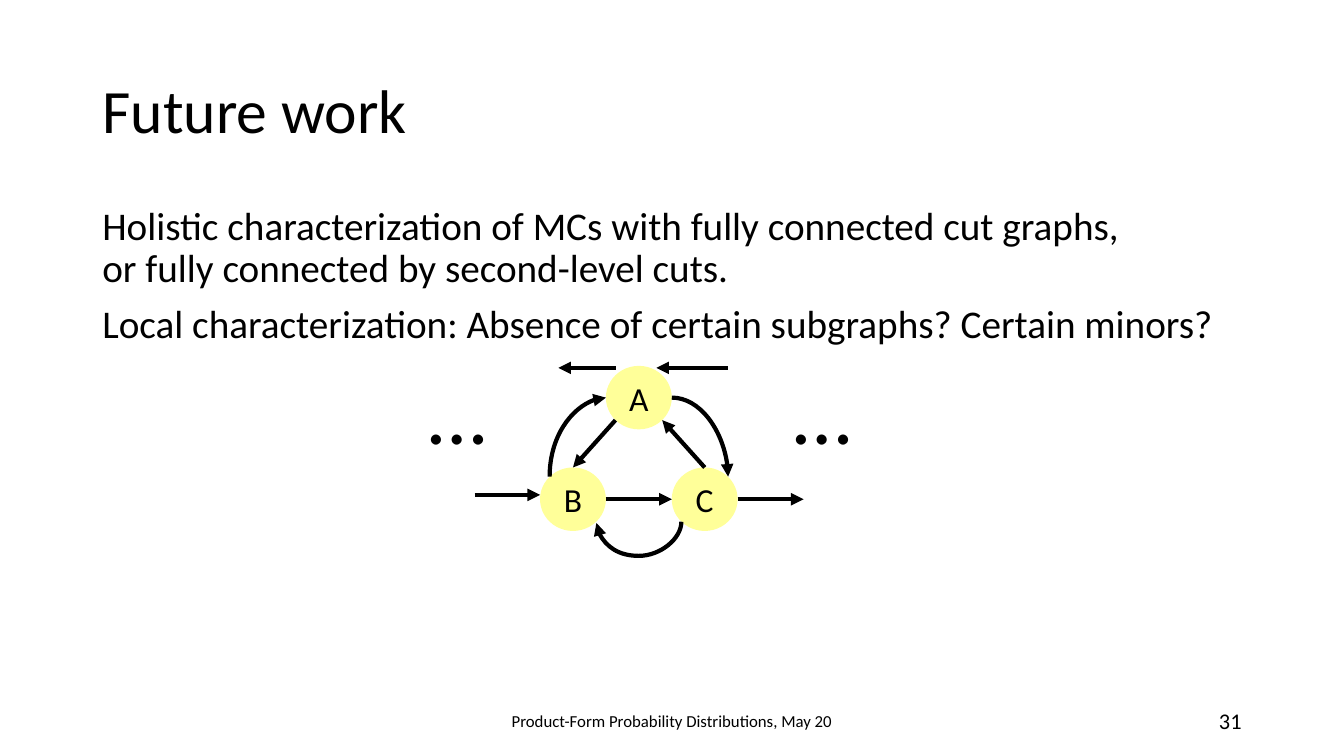
from dataclasses import dataclass

from lxml.etree import SubElement
from pptx import Presentation
from pptx.dml.color import RGBColor
from pptx.enum.shapes import MSO_CONNECTOR, MSO_SHAPE
from pptx.enum.text import MSO_ANCHOR, PP_ALIGN
from pptx.oxml.ns import qn
from pptx.util import Cm, Pt


@dataclass(frozen=True)
class Theme:
    font: str = "Calibri"
    ink: RGBColor = RGBColor(0x00, 0x00, 0x00)
    node_fill: RGBColor = RGBColor(0xFF, 0xFF, 0x99)
    title: int = 44
    body: int = 28
    node: int = 24
    footer: int = 12
    number: int = 16
    ellipsis: int = 60
    line: int = 3


THEME = Theme()
NODE_WIDTH, NODE_HEIGHT = 1.66, 1.6
DIAGONAL = 0.71
NODES = {"A": (16.1, 10.02), "B": (14.44, 12.58), "C": (17.76, 12.58)}


def write(shape, text, size, align=PP_ALIGN.LEFT, anchor=MSO_ANCHOR.MIDDLE):
    frame = shape.text_frame
    frame.text = text
    frame.vertical_anchor = anchor
    for paragraph in frame.paragraphs:
        paragraph.alignment = align
        for run in paragraph.runs:
            run.font.name = THEME.font
            run.font.size = Pt(size)
            run.font.color.rgb = THEME.ink
    return frame


def add_text(slide, box, text, size, **layout):
    shape = slide.shapes.add_textbox(*map(Cm, box))
    frame = write(shape, text, size, **layout)
    frame.word_wrap = True
    return frame


def add_title(slide, text):
    title = slide.shapes.title
    title.left, title.top, title.width, title.height = map(Cm, (2.33, 1.01, 29.21, 3.68))
    frame = write(title, text, THEME.title)
    frame.paragraphs[0].line_spacing = 0.9


def add_body(slide, text):
    frame = add_text(slide, (2.33, 5.07, 29.21, 12.09), text, THEME.body, anchor=MSO_ANCHOR.TOP)
    for paragraph in frame.paragraphs:
        paragraph.line_spacing = 0.9
        paragraph.space_before = Pt(10)


def add_node(slide, name):
    x, y = NODES[name]
    box = (x - NODE_WIDTH / 2, y - NODE_HEIGHT / 2, NODE_WIDTH, NODE_HEIGHT)
    node = slide.shapes.add_shape(MSO_SHAPE.OVAL, *map(Cm, box))
    node.shadow.inherit = False
    node.fill.solid()
    node.fill.fore_color.rgb = THEME.node_fill
    node.line.fill.background()
    frame = write(node, name, THEME.node, align=PP_ALIGN.CENTER)
    frame.word_wrap = False
    frame.margin_left = frame.margin_top = frame.margin_right = frame.margin_bottom = 0


def edge(name, across, down):
    """Point on a node's rim, given as fractions of its half width and height."""
    x, y = NODES[name]
    return x + across * NODE_WIDTH / 2, y + down * NODE_HEIGHT / 2


def add_arrow(slide, start, end, kind=MSO_CONNECTOR.STRAIGHT):
    arrow = slide.shapes.add_connector(kind, *map(Cm, start + end))
    arrow.line.color.rgb = THEME.ink
    arrow.line.width = Pt(THEME.line)
    SubElement(arrow.line._get_or_add_ln(), qn("a:tailEnd"), type="triangle")
    SubElement(arrow._element.spPr, qn("a:effectLst"))
    return arrow


def add_curve(slide, start, end, rotation=0, bulge=None):
    """Curved arrow, turned by quarter turns; a bulge makes it a U-shaped loop."""
    middle_x, middle_y = (start[0] + end[0]) / 2, (start[1] + end[1]) / 2
    width, height = abs(end[0] - start[0]), abs(end[1] - start[1])
    if rotation:
        width, height = height, width
    left, top = middle_x - width / 2, middle_y - height / 2
    curve = add_arrow(slide, (left, top), (left + width, top + height), MSO_CONNECTOR.CURVE)
    properties = curve._element.spPr
    if rotation:
        properties.find(qn("a:xfrm")).set("rot", str(rotation * 60000))
    geometry = properties.find(qn("a:prstGeom"))
    if bulge is None:
        geometry.set("prst", "curvedConnector2")
    else:
        guides = geometry.find(qn("a:avLst"))
        if guides is None:
            guides = SubElement(geometry, qn("a:avLst"))
        share = round(bulge / width * 100000)
        SubElement(guides, qn("a:gd"), name="adj1", fmla=f"val {share}")


def add_chain_diagram(slide):
    for name in NODES:
        add_node(slide, name)

    loop_start = edge("C", -DIAGONAL, DIAGONAL)
    loop_end_x, loop_end_y = edge("B", DIAGONAL, DIAGONAL)
    add_curve(slide, loop_start, (loop_end_x, loop_end_y + 0.03), rotation=90, bulge=0.86)
    add_curve(slide, edge("A", 1, 0), edge("C", DIAGONAL, -DIAGONAL))
    add_curve(slide, edge("B", -DIAGONAL, -DIAGONAL), edge("A", -1, 0), rotation=270)

    add_arrow(slide, edge("A", -DIAGONAL, DIAGONAL), edge("B", 0, -1))
    add_arrow(slide, edge("C", 0, -1), edge("A", DIAGONAL, DIAGONAL))
    add_arrow(slide, edge("B", 1, 0), edge("C", -1, 0))
    add_arrow(slide, edge("C", 1, 0), edge("C", 3, 0))
    for start_x, end_x, y in ((11.96, 13.61, 12.47), (15.52, 14.07, 9.27), (18.34, 16.54, 9.27)):
        add_arrow(slide, (start_x, y), (end_x, y))

    for left in (10.54, 19.76):
        add_text(slide, (left, 8.96, 2.82, 2.82), "…", THEME.ellipsis, anchor=MSO_ANCHOR.TOP)


def main():
    presentation = Presentation()
    presentation.slide_width, presentation.slide_height = Cm(33.87), Cm(19.05)
    slide = presentation.slides.add_slide(presentation.slide_layouts[5])
    add_title(slide, "Future work")
    add_body(
        slide,
        "Holistic characterization of MCs with fully connected cut graphs,\v"
        "or fully connected by second-level cuts.\n"
        "Local characterization: Absence of certain subgraphs? Certain minors?",
    )
    add_text(slide, (11.22, 17.66, 11.43, 1.01), "Product-Form Probability Distributions, May 20",
             THEME.footer, align=PP_ALIGN.CENTER)
    add_text(slide, (23.92, 17.66, 7.62, 1.01), "31", THEME.number, align=PP_ALIGN.RIGHT)
    add_chain_diagram(slide)
    presentation.save("out.pptx")


if __name__ == "__main__":
    main()
